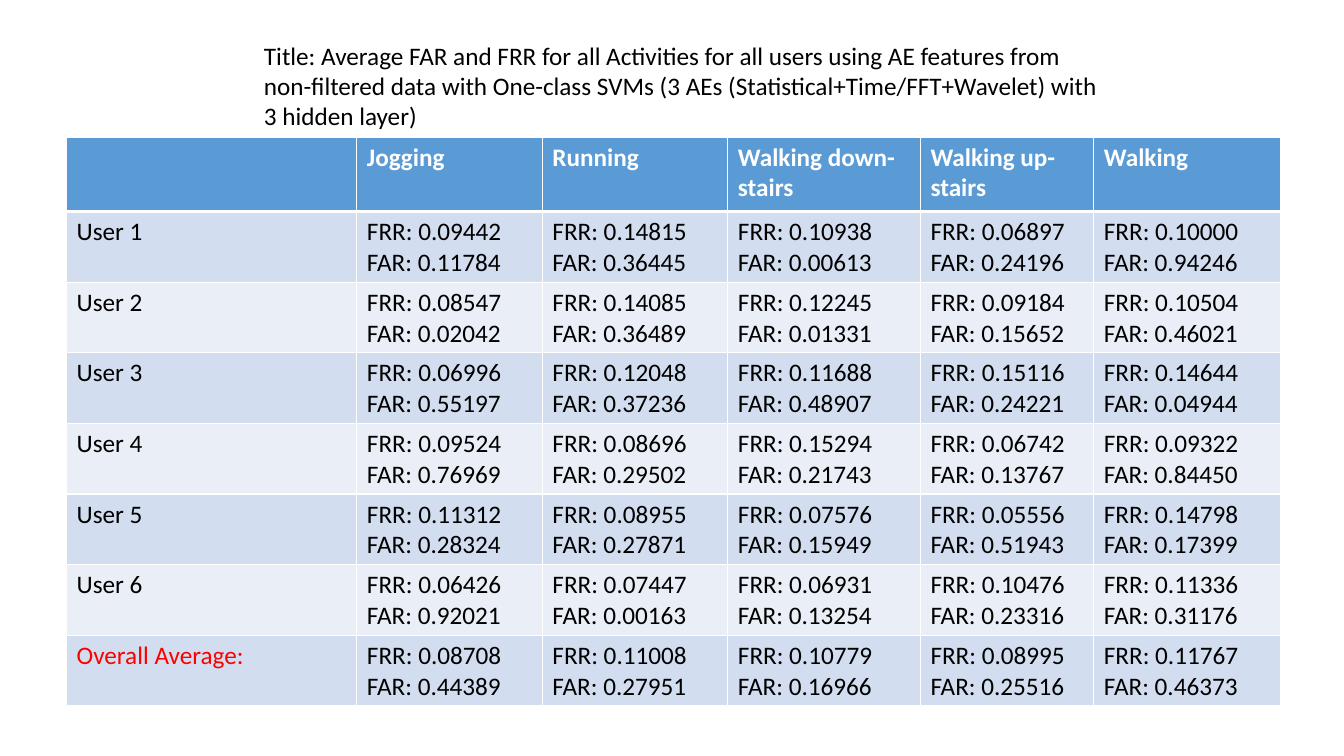
from dataclasses import dataclass

from lxml.etree import SubElement as Sub
from pptx import Presentation
from pptx.dml.color import RGBColor as Rgb
from pptx.enum.text import MSO_AUTO_SIZE as Fit
from pptx.oxml.ns import qn
from pptx.util import Inches, Pt

HUES = {
    "head": "5B9BD5",
    "odd": "D2DEEF",
    "even": "EAEFF7",
    "white": "FFFFFF",
    "black": "000000",
    "red": "FF0000",
}
TITLE = (
    "Title: Average FAR and FRR for all Activities for all users using AE "
    "features from non-filtered data with One-class SVMs "
    "(3 AEs (Statistical+Time/FFT+Wavelet) with 3 hidden layer)"
)
HEADS = ["", "Jogging", "Running", "Walking down-stairs", "Walking up-stairs", "Walking"]
WIDTHS = [2.88, 1.84, 1.84, 1.91, 1.72, 1.85]
HEAD_H, ROW_H = 0.74, 0.7


@dataclass
class User:
    """One row of rates, with a value for each activity."""

    name: str
    frr: list[float]
    far: list[float]
    hue: str = "black"

    def texts(self) -> list[str]:
        """Give the cell texts of the row."""
        rates = zip(self.frr, self.far)
        return [self.name] + [f"FRR: {r:.5f}\nFAR: {a:.5f}" for r, a in rates]


USERS = [
    User("User 1", [0.09442, 0.14815, 0.10938, 0.06897, 0.10000],
         [0.11784, 0.36445, 0.00613, 0.24196, 0.94246]),
    User("User 2", [0.08547, 0.14085, 0.12245, 0.09184, 0.10504],
         [0.02042, 0.36489, 0.01331, 0.15652, 0.46021]),
    User("User 3", [0.06996, 0.12048, 0.11688, 0.15116, 0.14644],
         [0.55197, 0.37236, 0.48907, 0.24221, 0.04944]),
    User("User 4", [0.09524, 0.08696, 0.15294, 0.06742, 0.09322],
         [0.76969, 0.29502, 0.21743, 0.13767, 0.84450]),
    User("User 5", [0.11312, 0.08955, 0.07576, 0.05556, 0.14798],
         [0.28324, 0.27871, 0.15949, 0.51943, 0.17399]),
    User("User 6", [0.06426, 0.07447, 0.06931, 0.10476, 0.11336],
         [0.92021, 0.00163, 0.13254, 0.23316, 0.31176]),
    User("Overall Average:", [0.08708, 0.11008, 0.10779, 0.08995, 0.11767],
         [0.44389, 0.27951, 0.16966, 0.25516, 0.46373], "red"),
]


def write(frame, text: str, *, hue: str = "black", bold: bool = False, size: int = 18) -> None:
    """Fill a text frame, one paragraph for each line."""
    frame.text = text
    for par in frame.paragraphs:
        font = par.font
        for font in [run.font for run in par.runs] or [par.font]:
            font.name, font.size, font.bold = "Calibri", Pt(size), bold
            font.color.rgb = Rgb.from_string(HUES[hue])


def edge(cell, top: int = 1, base: int = 1) -> None:
    """Draw white borders around a cell, widths in points."""
    props = cell._tc.get_or_add_tcPr()
    for tag, width in [("lnL", 1), ("lnR", 1), ("lnT", top), ("lnB", base)]:
        line = Sub(props, qn(f"a:{tag}"), w=str(Pt(width)))
        Sub(Sub(line, qn("a:solidFill")), qn("a:srgbClr"), val=HUES["white"])


def paint(cell, hue: str) -> None:
    """Fill a cell with a plain colour."""
    cell.fill.solid()
    cell.fill.fore_color.rgb = Rgb.from_string(HUES[hue])


def add_title(slide) -> None:
    """Add the title above the table."""
    box = slide.shapes.add_textbox(Inches(2.52), Inches(0.35), Inches(8.53), Inches(1.01))
    box.text_frame.word_wrap = True
    box.text_frame.auto_size = Fit.SHAPE_TO_FIT_TEXT
    write(box.text_frame, TITLE)


def add_rates(slide) -> None:
    """Add the table of rates by user and activity."""
    high = HEAD_H + ROW_H * len(USERS)
    table = slide.shapes.add_table(
        len(USERS) + 1, len(HEADS),
        Inches(0.66), Inches(1.36), Inches(sum(WIDTHS)), Inches(high),
    ).table
    for col, width in zip(table.columns, WIDTHS):
        col.width = Inches(width)
    for num, row in enumerate(table.rows):
        row.height = Inches(ROW_H if num else HEAD_H)

    for col, text in enumerate(HEADS):
        cell = table.cell(0, col)
        edge(cell, base=3)
        paint(cell, "head")
        write(cell.text_frame, text, hue="white", bold=True)
    for num, user in enumerate(USERS, 1):
        for col, text in enumerate(user.texts()):
            cell = table.cell(num, col)
            edge(cell, top=3 if num == 1 else 1)
            paint(cell, "odd" if num % 2 else "even")
            write(cell.text_frame, text, hue="black" if col else user.hue)


def main() -> None:
    """Build the slide and save it."""
    deck = Presentation()
    deck.slide_width, deck.slide_height = Inches(13.33), Inches(7.5)
    slide = deck.slides.add_slide(deck.slide_layouts[6])
    add_title(slide)
    add_rates(slide)
    deck.save("out.pptx")


main()
